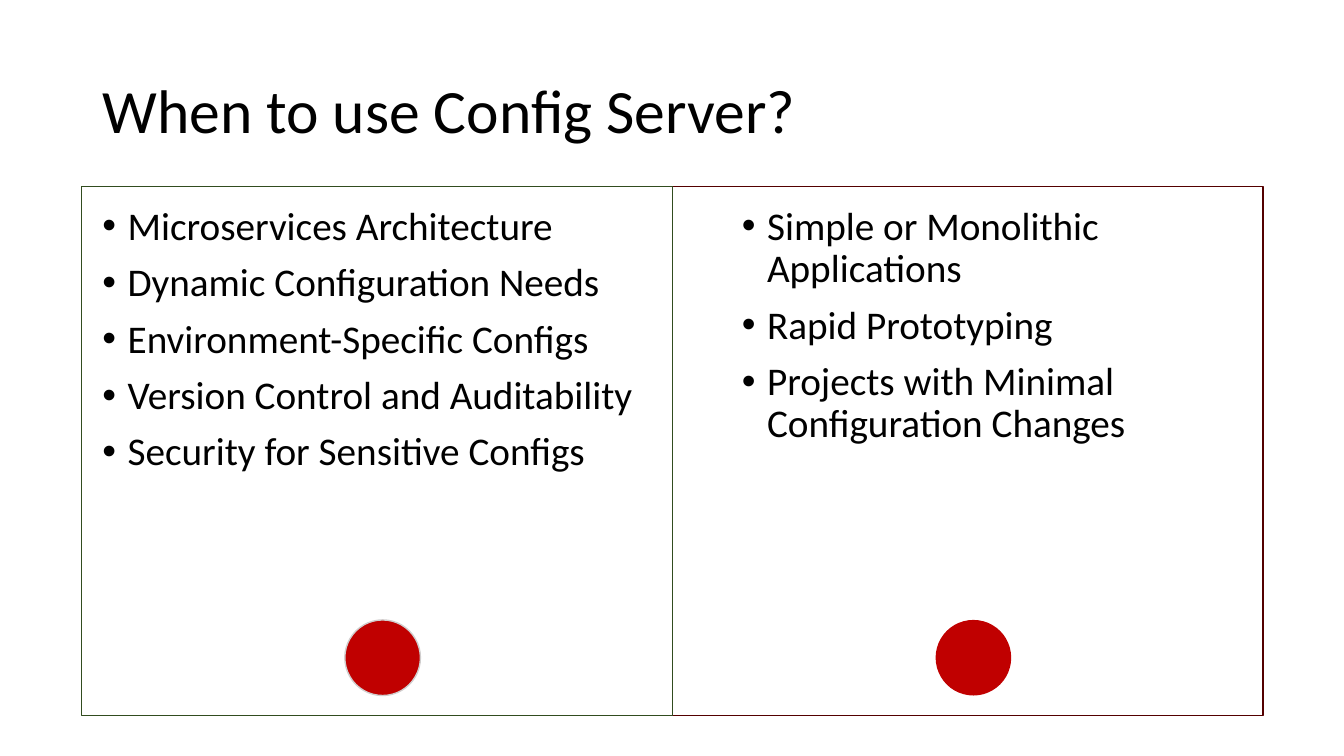
import dataclasses

import pptx
import pptx.dml.color
import pptx.enum.shapes
import pptx.enum.text
import pptx.util
from lxml import etree

Pt = pptx.util.Pt
Preset = pptx.enum.shapes.MSO_SHAPE
Anchor = pptx.enum.text.MSO_ANCHOR
A = "{http://schemas.openxmlformats.org/drawingml/2006/main}"


@dataclasses.dataclass(frozen=True)
class Theme:
    font: str = "Calibri"
    text: str = "000000"
    use_border: str = "314C1F"
    avoid_border: str = "540000"
    marker: str = "C00000"
    marker_border: str = "D0CECE"
    title_size: int = 44
    list_size: int = 28


class SlideBuilder:
    def __init__(self, slide, theme):
        self.slide = slide
        self.theme = theme

    def place(self, placeholder, left, top, width, height, anchor):
        placeholder.left, placeholder.top = Pt(left), Pt(top)
        placeholder.width, placeholder.height = Pt(width), Pt(height)
        frame = placeholder.text_frame
        frame.word_wrap = True
        frame.auto_size = pptx.enum.text.MSO_AUTO_SIZE.NONE
        frame.vertical_anchor = anchor
        return frame

    def add_text(self, paragraph, text, size, space_before=0):
        paragraph.alignment = pptx.enum.text.PP_ALIGN.LEFT
        paragraph.line_spacing = 0.9
        paragraph.space_before = Pt(space_before)
        run = paragraph.add_run()
        run.text = text
        run.font.name = self.theme.font
        run.font.size = Pt(size)
        run.font.color.rgb = pptx.dml.color.RGBColor.from_string(self.theme.text)

    def title(self, text, left, top, width, height):
        frame = self.place(self.slide.shapes.title, left, top, width, height, Anchor.MIDDLE)
        self.add_text(frame.paragraphs[0], text, self.theme.title_size)

    def bullets(self, index, items, left, top, width, height):
        """Fill the body placeholder with the given index with a bulleted list."""
        frame = self.place(self.slide.placeholders[index], left, top, width, height, Anchor.TOP)
        for number, item in enumerate(items):
            paragraph = frame.add_paragraph() if number else frame.paragraphs[0]
            self.add_text(paragraph, item, self.theme.list_size, space_before=10)
            properties = paragraph._p.get_or_add_pPr()
            properties.set("marL", str(Pt(18)))
            properties.set("indent", str(Pt(-18)))
            etree.SubElement(properties, A + "buFont", typeface="Arial")
            etree.SubElement(properties, A + "buChar", char="•")

    def shape(self, preset, left, top, width, height, fill=None, line=None):
        shape = self.slide.shapes.add_shape(preset, Pt(left), Pt(top), Pt(width), Pt(height))
        shape.shadow.inherit = False
        for paint, color in ((shape.fill, fill), (shape.line.fill, line)):
            if color:
                paint.solid()
                paint.fore_color.rgb = pptx.dml.color.RGBColor.from_string(color)
            else:
                paint.background()
        if line:
            shape.line.width = Pt(1)


def main():
    deck = pptx.Presentation()
    deck.slide_width, deck.slide_height = Pt(960), Pt(540)
    two_content = deck.slide_layouts[3]
    theme = Theme()
    builder = SlideBuilder(deck.slides.add_slide(two_content), theme)

    panel_left, panel_top, panel_width, panel_height = 58.3, 133.2, 422, 378
    marker_size = 54
    avoid_left = panel_left + panel_width

    builder.shape(Preset.RECTANGLE, avoid_left, panel_top, panel_width, panel_height,
                  line=theme.avoid_border)
    builder.shape(Preset.RECTANGLE, panel_left, panel_top, panel_width, panel_height,
                  line=theme.use_border)

    builder.title("When to use Config Server?", 66, 28.8, 828, 104.4)
    builder.bullets(1, [
        "Microservices Architecture",
        "Dynamic Configuration Needs",
        "Environment-Specific Configs",
        "Version Control and Auditability",
        "Security for Sensitive Configs",
    ], 66, 144, 414, 209.5)
    builder.bullets(2, [
        "Simple or Monolithic Applications",
        "Rapid Prototyping",
        "Projects with Minimal Configuration Changes",
    ], 522.7, 144, 370.8, 195)

    for left, border in ((panel_left, theme.marker_border), (avoid_left, None)):
        builder.shape(Preset.OVAL, left + 188, 442.8, marker_size, marker_size,
                      fill=theme.marker, line=border)

    deck.save("out.pptx")


if __name__ == "__main__":
    main()
